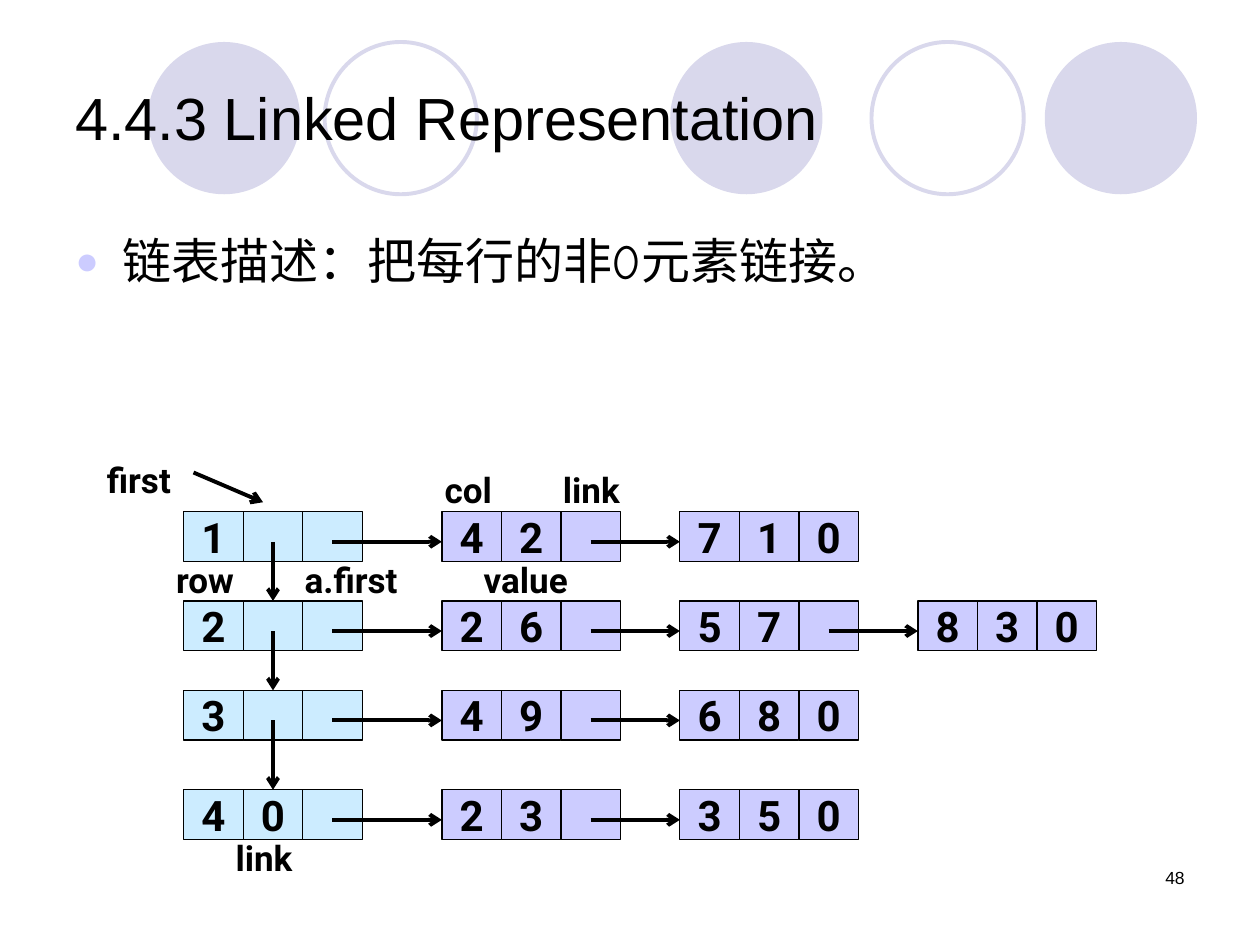
from lxml import etree
from pptx import Presentation
from pptx.dml.color import RGBColor
from pptx.enum.shapes import MSO_CONNECTOR, MSO_SHAPE
from pptx.enum.text import MSO_ANCHOR, PP_ALIGN
from pptx.oxml.ns import qn
from pptx.util import Pt

OVAL, RECT = MSO_SHAPE.OVAL, MSO_SHAPE.RECTANGLE
LINE = MSO_CONNECTOR.STRAIGHT
TOP, MID = MSO_ANCHOR.TOP, MSO_ANCHOR.MIDDLE
LEFT, CENTER, RIGHT = PP_ALIGN.LEFT, PP_ALIGN.CENTER, PP_ALIGN.RIGHT

BLACK, PALE, LILAC, SKY = "000000", "D9D8EC", "CCCCFF", "CCECFF"
SANS, BODY, BOLD = "Arial", "Comic Neue", "Roboto"


def color(code):
    return RGBColor.from_string(code)


class Painter:
    def __init__(self, slide):
        self.slide = slide
        self.shapes = slide.shapes

    def text(self, frame, words, size, font, bold=False, align=LEFT):
        para = frame.paragraphs[0]
        para.alignment = align
        run = para.add_run()
        run.text = words
        run.font.size = Pt(size)
        run.font.name = font
        run.font.bold = bold
        run.font.color.rgb = color(BLACK)
        return para

    def label(self, x, y, w, h, words, size=20, font=BOLD, bold=True,
              align=LEFT, anchor=TOP):
        box = self.shapes.add_textbox(Pt(x), Pt(y), Pt(w), Pt(h))
        frame = box.text_frame
        frame.word_wrap = True
        frame.vertical_anchor = anchor
        return self.text(frame, words, size, font, bold, align)

    def bullet(self, x, y, w, h, words):
        para = self.label(x, y, w, h, words, 28, BODY, False)
        props = para._p.get_or_add_pPr()
        props.set("marL", str(Pt(27)))
        props.set("indent", str(-Pt(27)))
        tint = etree.SubElement(props, qn("a:buClr"))
        etree.SubElement(tint, qn("a:srgbClr"), val=LILAC)
        etree.SubElement(props, qn("a:buSzPct"), val="80000")
        etree.SubElement(props, qn("a:buFont"), typeface=SANS)
        etree.SubElement(props, qn("a:buChar"), char="●")
        para.line_spacing = 0.9

    def shape(self, kind, x, y, w, h, fill, line, width):
        item = self.shapes.add_shape(kind, Pt(x), Pt(y), Pt(w), Pt(h))
        item.shadow.inherit = False
        if fill:
            item.fill.solid()
            item.fill.fore_color.rgb = color(fill)
        else:
            item.fill.background()
        if line:
            item.line.color.rgb = color(line)
            item.line.width = Pt(width)
        else:
            item.line.fill.background()
        return item

    def disc(self, x, solid):
        fill, line = (PALE, None) if solid else (None, PALE)
        self.shape(OVAL, x, 24, 87, 87, fill, line, 2.25)

    def cell(self, x, y, words, fill):
        item = self.shape(RECT, x, y, CELL, HIGH, fill, BLACK, 0.75)
        frame = item.text_frame
        frame.word_wrap = False
        frame.vertical_anchor = MID
        if words:
            self.text(frame, words, 24, BOLD, True, CENTER)
        return item

    def node(self, x, y, values, fill):
        return [self.cell(x + i * CELL, y, words, fill)
                for i, words in enumerate(values)]

    def arrow(self, x1, y1, x2, y2, goal=None):
        item = self.shapes.add_connector(LINE, Pt(x1), Pt(y1), Pt(x2), Pt(y2))
        if goal is not None:
            item.end_connect(goal, 0)
        item.line.color.rgb = color(BLACK)
        item.line.width = Pt(2.25)
        props = item._element.spPr
        etree.SubElement(props.find(qn("a:ln")), qn("a:tailEnd"), type="arrow")
        etree.SubElement(props, qn("a:effectLst"))


CELL, HIGH, DROP = 34, 28.35, 17.2
HEAD, START, STEP = 105, 252.5, 136
ROWS = [
    (292.4, ("1", "", ""), [("4", "2", ""), ("7", "1", "0")]),
    (343.4, ("2", "", ""), [("2", "6", ""), ("5", "7", ""), ("8", "3", "0")]),
    (394.5, ("3", "", ""), [("4", "9", ""), ("6", "8", "0")]),
    (451.3, ("4", "0", ""), [("2", "3", ""), ("3", "5", "0")]),
]
LABELS = [
    (54, 258.5, 57, "first"), (247, 264.3, 46, "col"),
    (314.6, 264.3, 57, "link"), (269.3, 315.4, 91, "value"),
    (127.5, 474.5, 63, "link"), (93.6, 315.4, 57, "row"),
    (167, 315.4, 91, "a.first"),
]
DISCS = [(383, True), (597, True), (84.5, True), (498, False), (185.5, False)]


def main():
    deck = Presentation()
    deck.slide_width, deck.slide_height = Pt(720), Pt(540)
    art = Painter(deck.slides.add_slide(deck.slide_layouts[6]))

    for x, solid in DISCS:
        art.disc(x, solid)
    art.label(516, 492, 168, 36, "48", 10, SANS, False, RIGHT)
    art.label(36, 21.6, 648, 90, "4.4.3 Linked Representation",
              34, SANS, False, anchor=MID)
    art.bullet(36, 132, 638, 117, "链表描述：把每行的非0元素链接。")

    heads = []
    for y, head, chain in ROWS:
        heads.append(art.node(HEAD, y, head, SKY))
        for i, values in enumerate(chain):
            art.node(START + i * STEP, y, values, LILAC)

    for y, head, chain in ROWS:
        for i in range(len(chain)):
            goal = START + i * STEP
            tail = goal - STEP if i else HEAD
            art.arrow(tail + 2.5 * CELL, y + DROP, goal, y + DROP)

    mid = HEAD + 1.5 * CELL
    for row, below, cells in zip(ROWS, ROWS[1:], heads[1:]):
        art.arrow(mid, row[0] + DROP, mid, below[0], cells[1])
    art.arrow(110.6, 270, 150.3, 287)

    for x, y, w, words in LABELS:
        art.label(x, y, w, 31, words)
    deck.save("out.pptx")


if __name__ == "__main__":
    main()
